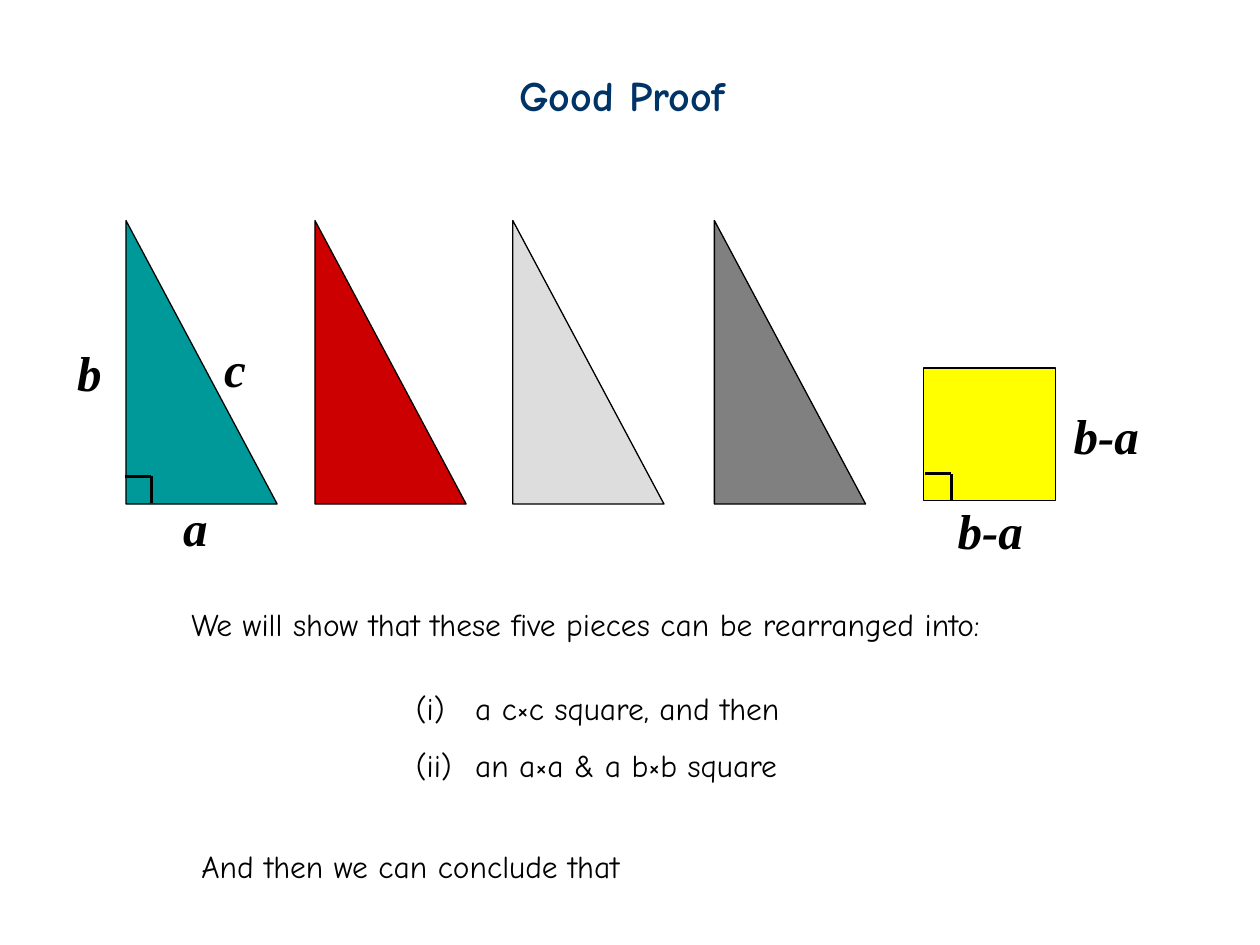
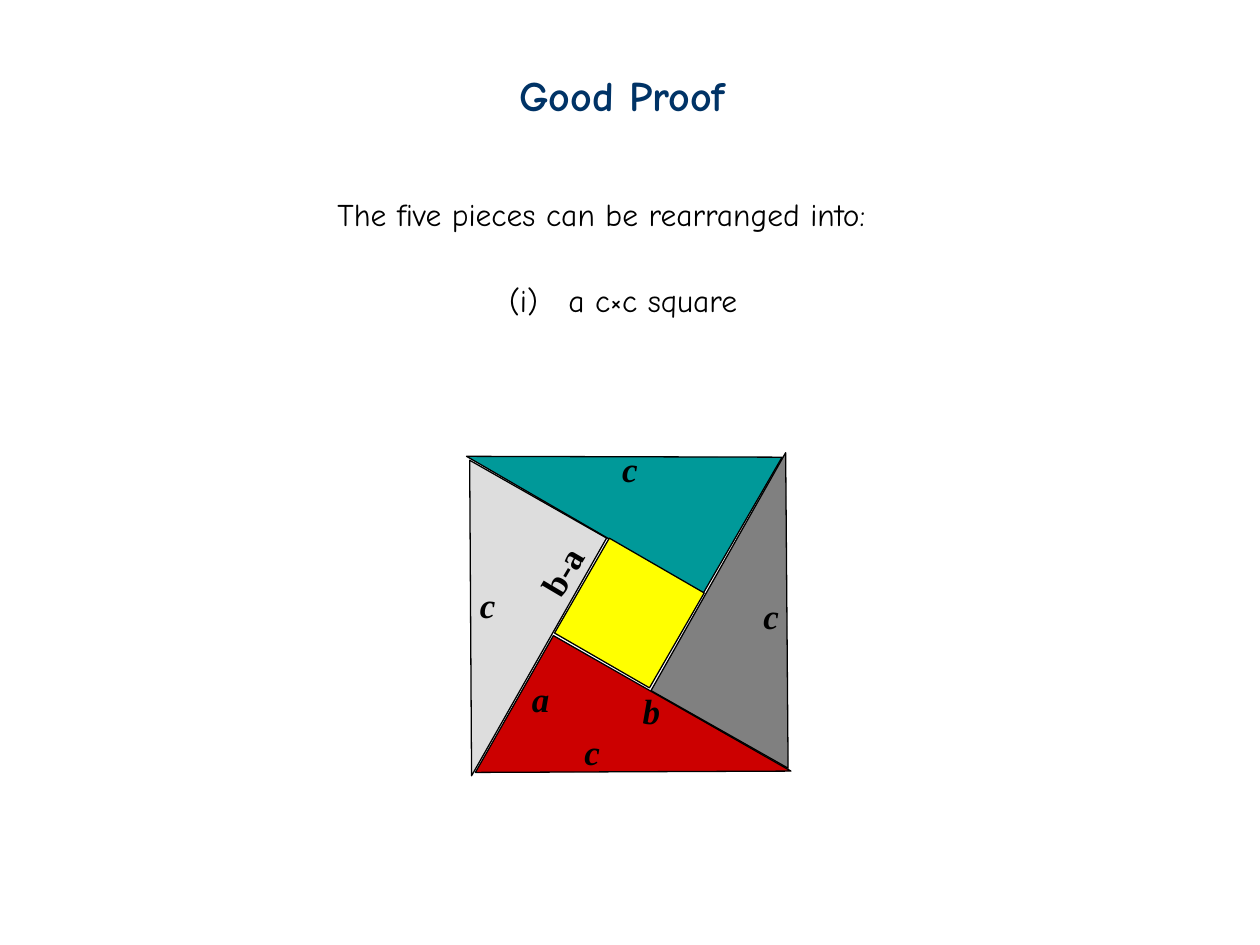
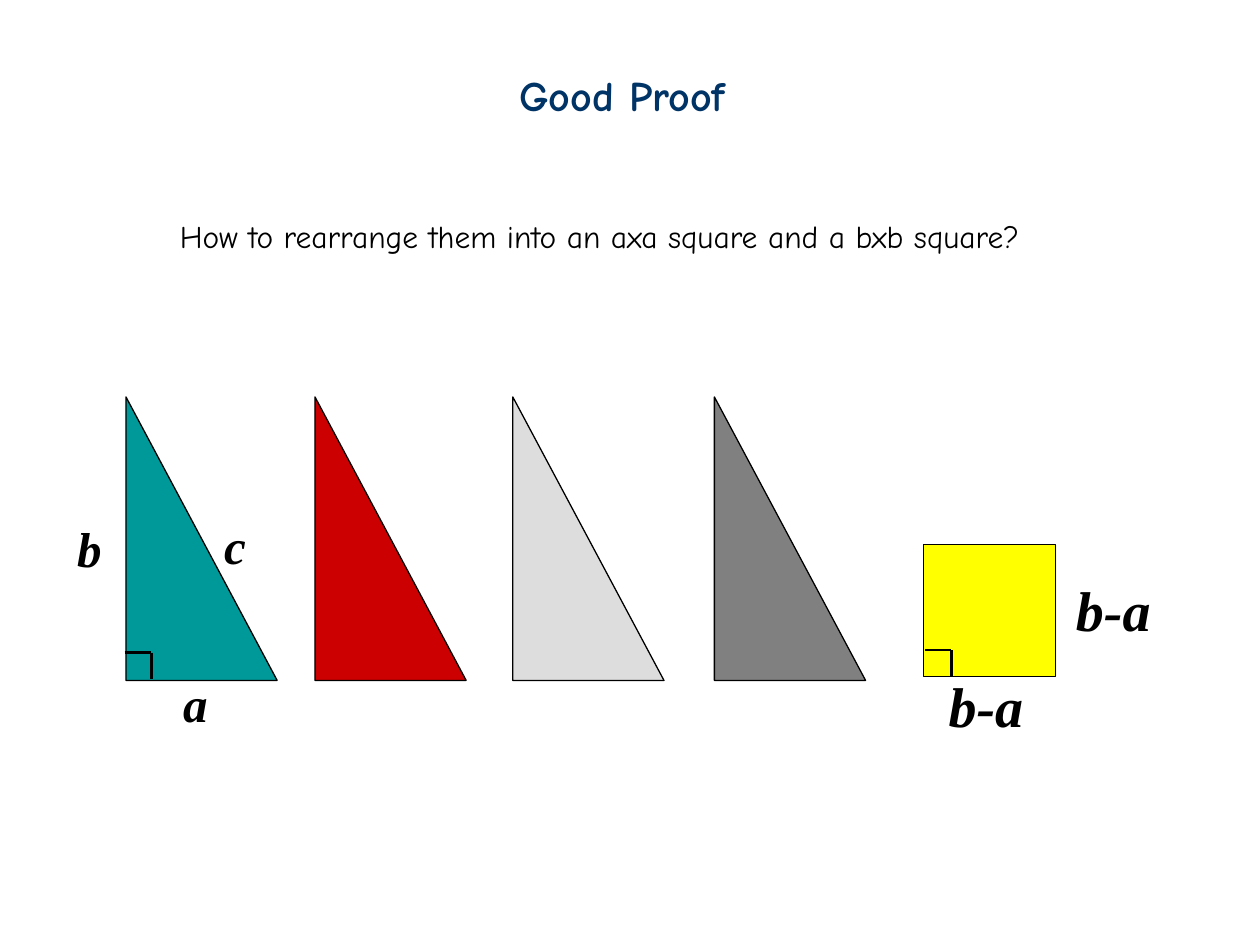
import pptx
import pptx.util
import pptx.dml.color
import pptx.enum.shapes
import pptx.enum.text
import pptx.oxml.ns
import lxml.etree

RGB = pptx.dml.color.RGBColor
BLACK = RGB(0x00, 0x00, 0x00)
NAVY = RGB(0x00, 0x33, 0x66)
TEAL = RGB(0x00, 0x99, 0x99)
RED = RGB(0xCC, 0x00, 0x00)
SILVER = RGB(0xDD, 0xDD, 0xDD)
GRAY = RGB(0x80, 0x80, 0x80)
YELLOW = RGB(0xFF, 0xFF, 0x00)

PX = 9144  # 100 px to the inch
HAND, SERIF = "Comic Neue", "Times New Roman"
ALIGN = pptx.enum.text.PP_ALIGN
SHAPE = pptx.enum.shapes.MSO_SHAPE
QN = pptx.oxml.ns.qn


def write(slide, text, box, size=18, font=HAND, color=BLACK, bold=False,
          italic=False, align=ALIGN.LEFT, holder=None):
    """Put text in a placeholder, or in a new text box."""
    place = [v * PX for v in box]
    if holder is None:
        holder = slide.shapes.add_textbox(*place)
    holder.left, holder.top, holder.width, holder.height = place
    frame = holder.text_frame
    frame.text = text
    frame.word_wrap = False
    frame.auto_size = pptx.enum.text.MSO_AUTO_SIZE.NONE
    frame.vertical_anchor = pptx.enum.text.MSO_ANCHOR.TOP
    for para in frame.paragraphs:
        para.alignment = align
        for run in para.runs:
            run.font.name, run.font.size = font, pptx.util.Pt(size)
            run.font.bold, run.font.italic = bold, italic
            run.font.color.rgb = color
    return holder


def piece(slide, kind, box, fill, turn=0):
    """Draw one piece of the puzzle."""
    shape = slide.shapes.add_shape(kind, *[v * PX for v in box])
    shape.rotation = turn
    shape.shadow.inherit = False
    shape.fill.solid()
    shape.fill.fore_color.rgb = fill
    shape.line.color.rgb = BLACK
    shape.line.width = pptx.util.Pt(0.75)


deck = pptx.Presentation()
deck.slide_width, deck.slide_height = 1000 * PX, 750 * PX

# Slides with their shared title; layout 1 has a body, layout 5 only a title
slides = []
for index in (1, 1, 5):
    slide = deck.slides.add_slide(deck.slide_layouts[index])
    write(slide, "Good Proof", (402, 50, 198, 50), 24, color=NAVY, bold=True,
          holder=slide.shapes.title)
    slides.append(slide)
first, second, third = slides

# Pieces side by side, on the first and third slides
for slide, top, size, sides in (
        (first, 175, 28, ((750, 217, 72, 57), (842, 142, 72, 57))),
        (third, 315, 32, ((743, 213, 79, 63), (844, 137, 79, 63)))):
    for text, x, y, wide in (("c", 168, 89, 37), ("b", 50, 92, 42),
                             ("a", 135, 215, 40)):
        write(slide, text, (x, top + y, wide, 57), 28, SERIF,
              bold=True, italic=True, align=ALIGN.CENTER)
    for x, y, wide, high in sides:
        write(slide, "b-a", (x, top + y, wide, high), size, SERIF,
              bold=True, italic=True, align=ALIGN.CENTER)
    for x, fill in ((100, TEAL), (250, RED), (407, SILVER), (567, GRAY)):
        piece(slide, SHAPE.RIGHT_TRIANGLE, (x, top, 120, 225), fill)
    piece(slide, SHAPE.RECTANGLE, (733, top + 117, 105, 105), YELLOW)

    # Right angle marks
    for x, y in ((99, top + 224), (734, top + 222)):
        right, upper = x + 21, y - 21
        for ends in ((x, upper, right, upper), (right, upper, right, y)):
            line = slide.shapes.add_connector(
                pptx.enum.shapes.MSO_CONNECTOR.STRAIGHT,
                *[v * PX for v in ends])
            line.line.color.rgb = BLACK
            line.line.width = pptx.util.Pt(1.5)
            lxml.etree.SubElement(line._element.spPr, QN("a:effectLst"))

# Pieces joined into the c by c square, on the second slide
for x, y, fill, turn in ((562, 376, GRAY, 29.5), (440, 504, RED, 119.7),
                         (433, 254, TEAL, 300.1), (311, 382, SILVER, 209.6)):
    piece(second, SHAPE.RIGHT_TRIANGLE, (x, y, 125, 217), fill, turn)
piece(second, SHAPE.RECTANGLE, (456, 443, 87, 87), YELLOW, 30)
for text, x, y, wide in (("c", 454, 575, 32), ("c", 596, 467, 32),
                         ("c", 371, 458, 32), ("a", 412, 533, 34),
                         ("b", 496, 542, 42), ("c", 484, 350, 32)):
    write(second, text, (x, y, wide, 43), 20, SERIF,
          bold=True, italic=True, align=ALIGN.CENTER)
slant = write(second, "b-a", (416, 432, 59, 43), 20, SERIF,
              bold=True, align=ALIGN.CENTER)
slant.rotation = 300.6

# Sentences
for slide, text, box in (
        (first, "We will show that these five pieces can be rearranged into:",
         (142, 475, 714, 40)),
        (first, "And then we can conclude that", (150, 667, 385, 40)),
        (second, "The five pieces can be rearranged into:",
         (258, 150, 478, 40)),
        (third, "How to rearrange them into an axa square and a bxb square?",
         (133, 167, 727, 40))):
    write(slide, text, box)

# Numbered lists with a hanging indent
for slide, text, box in (
        (first, "(i)\ta c×c square, and then\n(ii)\tan a×a & a b×b square",
         (320, 542, 359, 85)),
        (second, "(i)\ta c×c square", (394, 218, 212, 40))):
    body = write(slide, text, box, holder=slide.placeholders[1])
    body.text_frame.word_wrap = True
    for row, para in enumerate(body.text_frame.paragraphs):
        para.space_before = pptx.util.Pt(0)
        para.line_spacing = 1.5 if row else 1.0
        props = para._p.get_or_add_pPr()
        props.set("marL", str(47 * PX))
        props.set("indent", str(-47 * PX))
        lxml.etree.SubElement(props, QN("a:buNone"))

deck.save("out.pptx")
